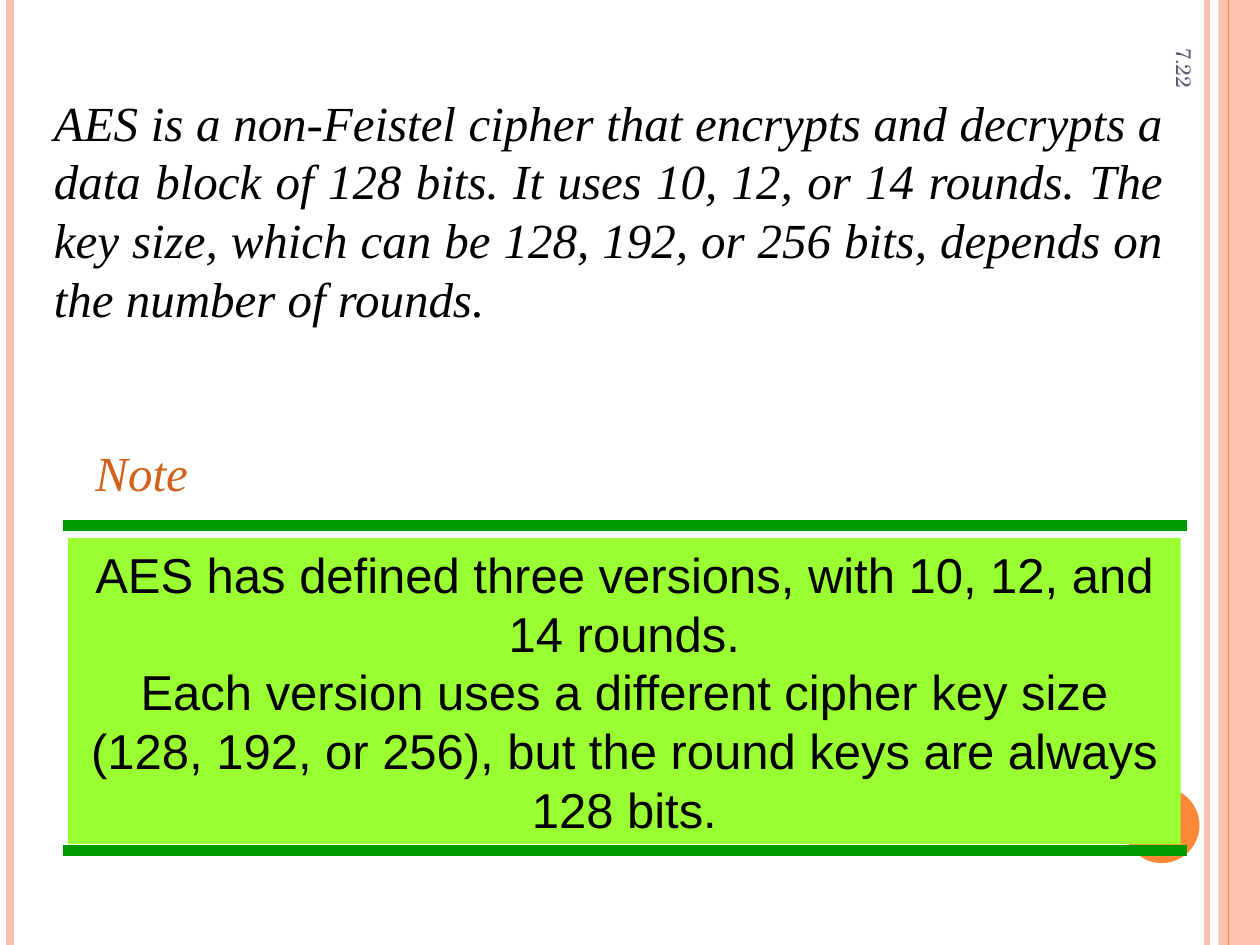
from lxml import etree
from pptx import Presentation
from pptx.dml.color import RGBColor
from pptx.enum.shapes import MSO_CONNECTOR, MSO_SHAPE
from pptx.enum.text import MSO_ANCHOR, PP_ALIGN
from pptx.oxml.ns import qn
from pptx.util import Inches, Pt

STRAIGHT = MSO_CONNECTOR.STRAIGHT
RECTANGLE, OVAL = MSO_SHAPE.RECTANGLE, MSO_SHAPE.OVAL
TOP, MIDDLE = MSO_ANCHOR.TOP, MSO_ANCHOR.MIDDLE
LEFT, CENTER, JUSTIFY = PP_ALIGN.LEFT, PP_ALIGN.CENTER, PP_ALIGN.JUSTIFY

COLORS = {
    "peach": "FEC2AE",
    "orange": "FE8637",
    "slate": "575F6D",
    "rust": "D2611C",
    "green": "009900",
    "lime": "99FF33",
    "black": "000000",
}

deck = Presentation()
deck.slide_width, deck.slide_height = Inches(10), Inches(7.5)
page = deck.slides.add_slide(deck.slide_layouts[6])


def add_line(x1, y1, x2, y2, color, width):
    line = page.shapes.add_connector(
        STRAIGHT, Inches(x1), Inches(y1), Inches(x2), Inches(y2))
    line.line.color.rgb = RGBColor.from_string(COLORS[color])
    line.line.width = Pt(width)
    etree.SubElement(line._element.spPr, qn("a:effectLst"))


def write(box, texts, font, size, color, align=LEFT, anchor=TOP, italic=None, wrap=True):
    frame = box.text_frame
    frame.word_wrap = wrap
    frame.vertical_anchor = anchor
    frame.text = "\n".join(texts)
    for para in frame.paragraphs:
        para.alignment = align
        para.font.name = font
        para.font.size = Pt(size)
        para.font.italic = italic
        para.font.color.rgb = RGBColor.from_string(COLORS[color])


for x, width in [(9.58, 3), (0.08, 4.5)]:
    add_line(x, 0, x, 7.5, "peach", width)

panels = []
for kind, left, top, width, height, color in [
    (RECTANGLE, 9.67, 0, 0.33, 7.5, "peach"),
    (OVAL, 8.92, 6.25, 0.6, 0.6, "orange"),
    (RECTANGLE, 0.54, 4.27, 8.83, 2.43, "lime"),
]:
    panel = page.shapes.add_shape(
        kind, Inches(left), Inches(top), Inches(width), Inches(height))
    panel.shadow.inherit = False
    panel.fill.solid()
    panel.fill.fore_color.rgb = RGBColor.from_string(COLORS[color])
    panel.line.fill.background()
    panels.append(panel)

add_line(9.75, 0, 9.75, 7.5, "orange", 0.75)
for y in (4.17, 6.75):
    add_line(0.5, y, 9.42, y, "green", 6)

number = page.shapes.add_textbox(Inches(8.3), Inches(1.18), Inches(2.2), Inches(0.42))
number.rotation = 90
write(number, ["7.22"], "TeX Gyre Schola", 12, "slate", anchor=MIDDLE)

intro = page.shapes.add_textbox(Inches(0.33), Inches(0.68), Inches(9), Inches(1.97))
write(intro, [
    "AES is a non-Feistel cipher that encrypts and decrypts a data block of 128 bits. "
    "It uses 10, 12, or 14 rounds. The key size, which can be 128, 192, or 256 bits, "
    "depends on the number of rounds.",
], "Times New Roman", 28, "black", JUSTIFY, MIDDLE, italic=True)

note = page.shapes.add_textbox(Inches(0.66), Inches(3.46), Inches(0.93), Inches(0.57))
write(note, ["Note"], "Times New Roman", 28, "rust", italic=True, wrap=False)

write(panels[-1], [
    "AES has defined three versions, with 10, 12, and 14 rounds.",
    "Each version uses a different cipher key size (128, 192, or 256), "
    "but the round keys are always 128 bits.",
], "Arial", 28, "black", CENTER)

deck.save("out.pptx")
